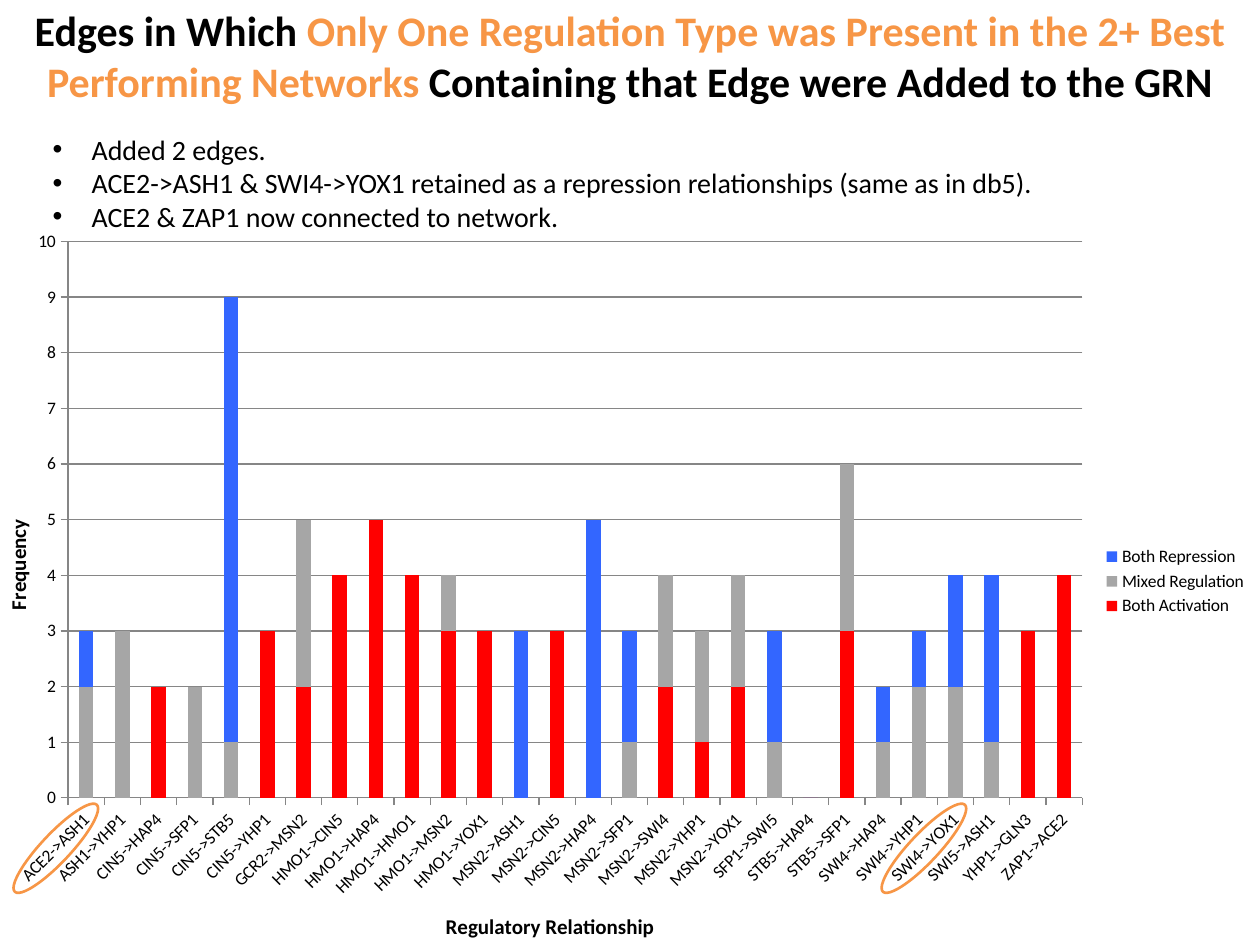
from lxml import etree
from pptx import Presentation
from pptx.chart.data import CategoryChartData
from pptx.dml.color import RGBColor
from pptx.enum.chart import XL_CHART_TYPE as ChartType, XL_LEGEND_POSITION as LegendPosition
from pptx.enum.chart import XL_TICK_MARK as TickMark
from pptx.enum.shapes import MSO_SHAPE as Shape
from pptx.enum.text import MSO_ANCHOR as Anchor, PP_ALIGN as Align
from pptx.oxml import parse_xml
from pptx.oxml.ns import nsdecls, qn
from pptx.util import Cm, Pt

BLACK = RGBColor(0x00, 0x00, 0x00)
ORANGE = RGBColor(0xF7, 0x96, 0x46)
RED = RGBColor(0xFF, 0x00, 0x00)
GRAY = RGBColor(0xA6, 0xA6, 0xA6)
BLUE = RGBColor(0x33, 0x66, 0xFF)
AXIS_GRAY = RGBColor(0x86, 0x86, 0x86)

TITLE_FONT = {"name": "Calibri", "size": Pt(24), "bold": True}
BULLET_FONT = {"name": "Calibri", "size": Pt(16)}
CHART_FONT = {"name": "Calibri", "size": Pt(10)}
AXIS_TITLE_FONT = {"name": "Calibri", "size": Pt(12), "bold": True}

TITLE_RUNS = [
    ("Edges in Which ", BLACK),
    ("Only One Regulation Type was Present in the 2+ Best Performing Networks ", ORANGE),
    ("Containing that Edge were Added to the GRN", BLACK),
]
BULLETS = [
    "Added 2 edges.",
    "ACE2->ASH1 & SWI4->YOX1 retained as a repression relationships (same as in db5).",
    "ACE2 & ZAP1 now connected to network.",
]
EDGES = """ACE2->ASH1 ASH1->YHP1 CIN5->HAP4 CIN5->SFP1 CIN5->STB5 CIN5->YHP1 GCR2->MSN2
HMO1->CIN5 HMO1->HAP4 HMO1->HMO1 HMO1->MSN2 HMO1->YOX1 MSN2->ASH1 MSN2->CIN5
MSN2->HAP4 MSN2->SFP1 MSN2->SWI4 MSN2->YHP1 MSN2->YOX1 SFP1->SWI5 STB5->HAP4
STB5->SFP1 SWI4->HAP4 SWI4->YHP1 SWI4->YOX1 SWI5->ASH1 YHP1->GLN3 ZAP1->ACE2""".split()
SERIES = [
    ("Both Activation", RED,
     [0, 0, 2, 0, 0, 3, 2, 4, 5, 4, 3, 3, 0, 3, 0, 0, 2, 1, 2, 0, 0, 3, 0, 0, 0, 0, 3, 4]),
    ("Mixed Regulation", GRAY,
     [2, 3, 0, 2, 1, 0, 3, 0, 0, 0, 1, 0, 0, 0, 0, 1, 2, 2, 2, 1, 0, 3, 1, 2, 2, 1, 0, 0]),
    ("Both Repression", BLUE,
     [1, 0, 0, 0, 8, 0, 0, 0, 0, 0, 0, 0, 3, 0, 5, 2, 0, 0, 0, 2, 0, 0, 1, 1, 2, 3, 0, 0]),
]
PLOT_AREA = {"x": 0.054, "y": 0.034, "w": 0.805, "h": 0.763}


def set_format(target, values, color=None):
    """Set each format value on the target, and the colour if given."""
    for name, value in values.items():
        setattr(target, name, value)
    if color is not None:
        target.color.rgb = color


def add_text_frame(slide, box):
    """Add a wrapping text box and return its text frame."""
    frame = slide.shapes.add_textbox(*box).text_frame
    frame.word_wrap = True
    return frame


def add_title(slide, box):
    """Add the two-colour slide title."""
    frame = add_text_frame(slide, box)
    frame.vertical_anchor = Anchor.MIDDLE
    paragraph = frame.paragraphs[0]
    paragraph.alignment = Align.CENTER
    for text, color in TITLE_RUNS:
        run = paragraph.add_run()
        run.text = text
        set_format(run.font, TITLE_FONT, color)


def add_bullets(slide, box):
    """Add the bulleted findings."""
    frame = add_text_frame(slide, box)
    for index, text in enumerate(BULLETS):
        paragraph = frame.add_paragraph() if index else frame.paragraphs[0]
        run = paragraph.add_run()
        run.text = text
        set_format(run.font, BULLET_FONT, BLACK)
        properties = paragraph._p.get_or_add_pPr()
        properties.set("marL", str(Cm(0.79)))
        properties.set("indent", str(Cm(-0.79)))
        etree.SubElement(properties, qn("a:buFont")).set("typeface", "Arial")
        etree.SubElement(properties, qn("a:buChar")).set("char", "•")


def format_axis(axis, title, title_rotation):
    """Give an axis its title, tick marks and line."""
    axis.has_title = True
    frame = axis.axis_title.text_frame
    frame.text = title
    set_format(frame.paragraphs[0].runs[0].font, AXIS_TITLE_FONT, BLACK)
    frame._txBody.bodyPr.set("rot", str(title_rotation * 60000))
    set_format(axis, {"major_tick_mark": TickMark.OUTSIDE, "minor_tick_mark": TickMark.NONE})
    set_format(axis.format.line, {"width": Pt(0.75)}, AXIS_GRAY)
    set_format(axis.tick_labels.font, CHART_FONT, BLACK)


def set_plot_area(chart):
    """Fix the inner plot area as fractions of the chart."""
    modes = '<c:layoutTarget val="inner"/><c:xMode val="edge"/><c:yMode val="edge"/>'
    sizes = "".join(f'<c:{name} val="{value}"/>' for name, value in PLOT_AREA.items())
    plot_area = chart._chartSpace.chart.plotArea
    for layout in plot_area.findall(qn("c:layout")):
        plot_area.remove(layout)
    plot_area.insert(0, parse_xml(
        f'<c:layout {nsdecls("c")}><c:manualLayout>{modes}{sizes}</c:manualLayout></c:layout>'))


def add_frequency_chart(slide, box):
    """Add the stacked columns of regulation type by edge."""
    data = CategoryChartData()
    data.categories = EDGES
    for name, color, values in SERIES:
        data.add_series(name, values)
    chart = slide.shapes.add_chart(ChartType.COLUMN_STACKED, *box, data).chart
    set_format(chart.font, CHART_FONT, BLACK)
    set_format(chart, {"has_title": False, "has_legend": True})
    set_format(chart.legend, {"position": LegendPosition.RIGHT, "include_in_layout": False})
    set_format(chart.legend.font, CHART_FONT, BLACK)
    plot = chart.plots[0]
    set_format(plot, {"gap_width": 150, "overlap": 100, "vary_by_categories": False})
    for series, (name, color, values) in zip(plot.series, SERIES):
        series.format.fill.solid()
        series.format.fill.fore_color.rgb = color
    format_axis(chart.category_axis, "Regulatory Relationship", 0)
    format_axis(chart.value_axis, "Frequency", -90)
    chart.category_axis._element.find(qn("c:txPr")).bodyPr.set("rot", str(-45 * 60000))
    set_format(chart.value_axis, {"minimum_scale": 0, "maximum_scale": 10, "major_unit": 1,
                                  "has_major_gridlines": True})
    set_format(chart.value_axis.major_gridlines.format.line, {"width": Pt(0.75)}, AXIS_GRAY)
    set_plot_area(chart)


def add_highlight(slide, box):
    """Circle one slanted edge label."""
    ellipse = slide.shapes.add_shape(Shape.OVAL, *box)
    ellipse.rotation = 313.3
    ellipse.shadow.inherit = False
    ellipse.fill.background()
    set_format(ellipse.line, {"width": Pt(1.5)}, ORANGE)


def main():
    """Build and save the slide."""
    presentation = Presentation()
    set_format(presentation, {"slide_width": Cm(25.4), "slide_height": Cm(19.05)})
    slide = presentation.slides.add_slide(presentation.slide_layouts[6])
    add_title(slide, (Cm(0), Cm(0.15), Cm(25.4), Cm(1.93)))
    add_frequency_chart(slide, (Cm(0), Cm(4.37), Cm(25.4), Cm(14.7)))
    add_bullets(slide, (Cm(0.81), Cm(2.54), Cm(24), Cm(3)))
    for left in (-0.08, 17.42):
        add_highlight(slide, (Cm(left), Cm(16.81), Cm(2.41), Cm(0.58)))
    presentation.save("out.pptx")


main()
